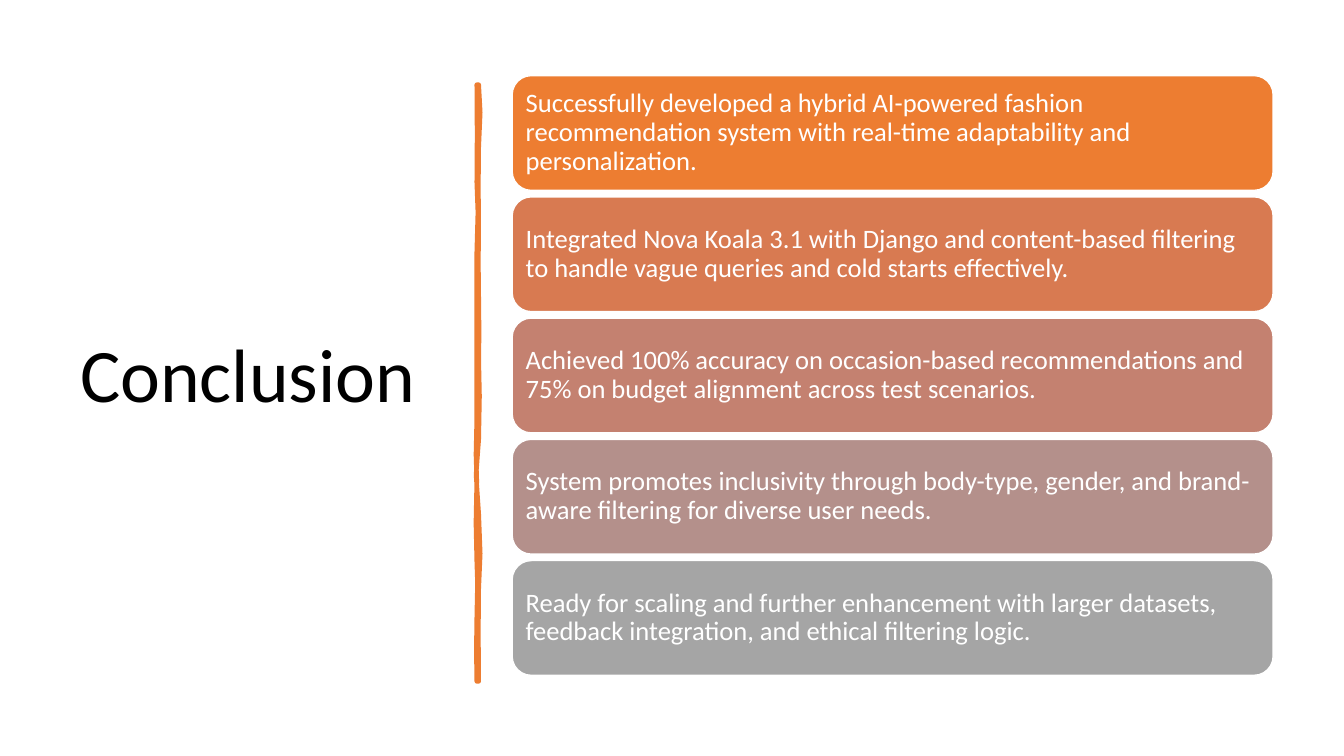
import pptx
import pptx.util
import pptx.dml.color
import pptx.enum.shapes
import pptx.enum.text
import pptx.oxml.ns
import lxml.etree

Pt = pptx.util.Pt
RGBColor = pptx.dml.color.RGBColor

ORANGE = RGBColor(0xED, 0x7D, 0x31)
WHITE = RGBColor(0xFF, 0xFF, 0xFF)
BLACK = RGBColor(0x00, 0x00, 0x00)

CARDS = [
    (ORANGE, "Successfully developed a hybrid AI-powered fashion recommendation system "
             "with real-time adaptability and personalization."),
    (RGBColor(0xD8, 0x7A, 0x51), "Integrated Nova Koala 3.1 with Django and content-based filtering "
                                 "to handle vague queries and cold starts effectively."),
    (RGBColor(0xC4, 0x81, 0x70), "Achieved 100% accuracy on occasion-based recommendations and 75% on "
                                 "budget alignment across test scenarios."),
    (RGBColor(0xB4, 0x90, 0x8B), "System promotes inclusivity through body-type, gender, and "
                                 "brand-aware filtering for diverse user needs."),
    (RGBColor(0xA5, 0xA5, 0xA5), "Ready for scaling and further enhancement with larger datasets, "
                                 "feedback integration, and ethical filtering logic."),
]
CARD_LEFT, CARD_TOP, CARD_WIDTH, CARD_HEIGHT, CARD_PITCH = 365.8, 54, 543.6, 82, 86.6

# Divider edges: each curve is two control points and the y where it ends
RIGHT_X, LEFT_X, DIVIDER_TOP, DIVIDER_BOTTOM = 342, 340.6, 60.5, 486.7
RIGHT_EDGE = [
    (343.4, 73.4, 343.4, 85.7, 105.1),
    (340.6, 124.6, 342.7, 140.4, 162.7),
    (341.3, 185, 342, 188.6, 211.7),
    (341.3, 234, 343.4, 246.2, 256.3),
    (340.6, 266.4, 344.9, 298.1, 313.9),
    (339.1, 329, 339.8, 348.5, 367.2),
    (343.4, 385.9, 343.4, 406.1, 420.5),
    (340.6, 434.2, 342.7, 468, DIVIDER_BOTTOM),
]
LEFT_EDGE = [
    (341.3, 465.1, 339.1, 463.7, 441.4),
    (341.3, 419.8, 341.3, 410.4, 401),
    (339.8, 391.7, 339.8, 356.4, 343.4),
    (340.6, 330.5, 339.1, 321.1, 298.8),
    (341.3, 277.9, 339.8, 268.6, 241.2),
    (341.3, 214.6, 339.8, 202.3, 180),
    (341.3, 157, 342, 144, 130.3),
    (338.4, 117.4, 343.4, 74.9, DIVIDER_TOP),
]
CURVE_STEPS = 2


def edge_points(x, y, curves):
    """Sample the curves of one edge, whose anchors all lie at x."""
    points = [(Pt(x), Pt(y))]
    for x1, y1, x2, y2, end_y in curves:
        for step in range(1, CURVE_STEPS + 1):
            t = step / CURVE_STEPS
            weights = ((1 - t) ** 3, 3 * t * (1 - t) ** 2, 3 * t * t * (1 - t), t ** 3)
            points.append(tuple(
                Pt(sum(weight * value for weight, value in zip(weights, values)))
                for values in ((x, x1, x2, x), (y, y1, y2, end_y))))
        y = end_y
    return points


def write_text(shape, text, size, color, frame_format):
    frame = shape.text_frame
    for name, value in frame_format.items():
        setattr(frame, name, value)
    frame.text = text
    paragraph = frame.paragraphs[0]
    paragraph.alignment = pptx.enum.text.PP_ALIGN.LEFT
    paragraph.line_spacing = 0.9
    font = paragraph.runs[0].font
    for name, value in {"name": "Calibri", "size": Pt(size)}.items():
        setattr(font, name, value)
    font.color.rgb = color


presentation = pptx.Presentation()
presentation.slide_width = Pt(960)
presentation.slide_height = Pt(540)
slide = presentation.slides.add_slide(presentation.slide_layouts[5])

frame_format = {
    "word_wrap": True,
    "auto_size": pptx.enum.text.MSO_AUTO_SIZE.NONE,
    "vertical_anchor": pptx.enum.text.MSO_ANCHOR.MIDDLE,
}

# Title
title = slide.shapes.title
title_place = {"left": 50, "top": 50.2, "width": 269.3, "height": 439.9}
for name, value in title_place.items():
    setattr(title, name, Pt(value))
write_text(title, "Conclusion", 54, BLACK, frame_format)

# Hand-drawn divider with rounded corners
outline = (edge_points(RIGHT_X, DIVIDER_TOP, RIGHT_EDGE)
           + edge_points(LEFT_X, DIVIDER_BOTTOM, LEFT_EDGE))
builder = slide.shapes.build_freeform(*outline[0])
builder.add_line_segments(outline[1:], close=True)
divider = builder.convert_to_shape()
divider.shadow.inherit = False
divider.fill.solid()
divider.fill.fore_color.rgb = ORANGE
divider.line.color.rgb = ORANGE
divider.line.width = Pt(3.25)
line_element = divider.element.spPr.find(pptx.oxml.ns.qn("a:ln"))
lxml.etree.SubElement(line_element, pptx.oxml.ns.qn("a:round"))

# Conclusion cards
margins = dict.fromkeys(("margin_left", "margin_top", "margin_right", "margin_bottom"), Pt(5.7))
for index, (color, text) in enumerate(CARDS):
    card = slide.shapes.add_shape(
        pptx.enum.shapes.MSO_SHAPE.ROUNDED_RECTANGLE,
        Pt(CARD_LEFT), Pt(CARD_TOP + index * CARD_PITCH), Pt(CARD_WIDTH), Pt(CARD_HEIGHT))
    card.shadow.inherit = False
    card.fill.solid()
    card.fill.fore_color.rgb = color
    card.line.color.rgb = WHITE
    card.line.width = Pt(1)
    write_text(card, text, 19, WHITE, {**frame_format, **margins})

presentation.save("out.pptx")
